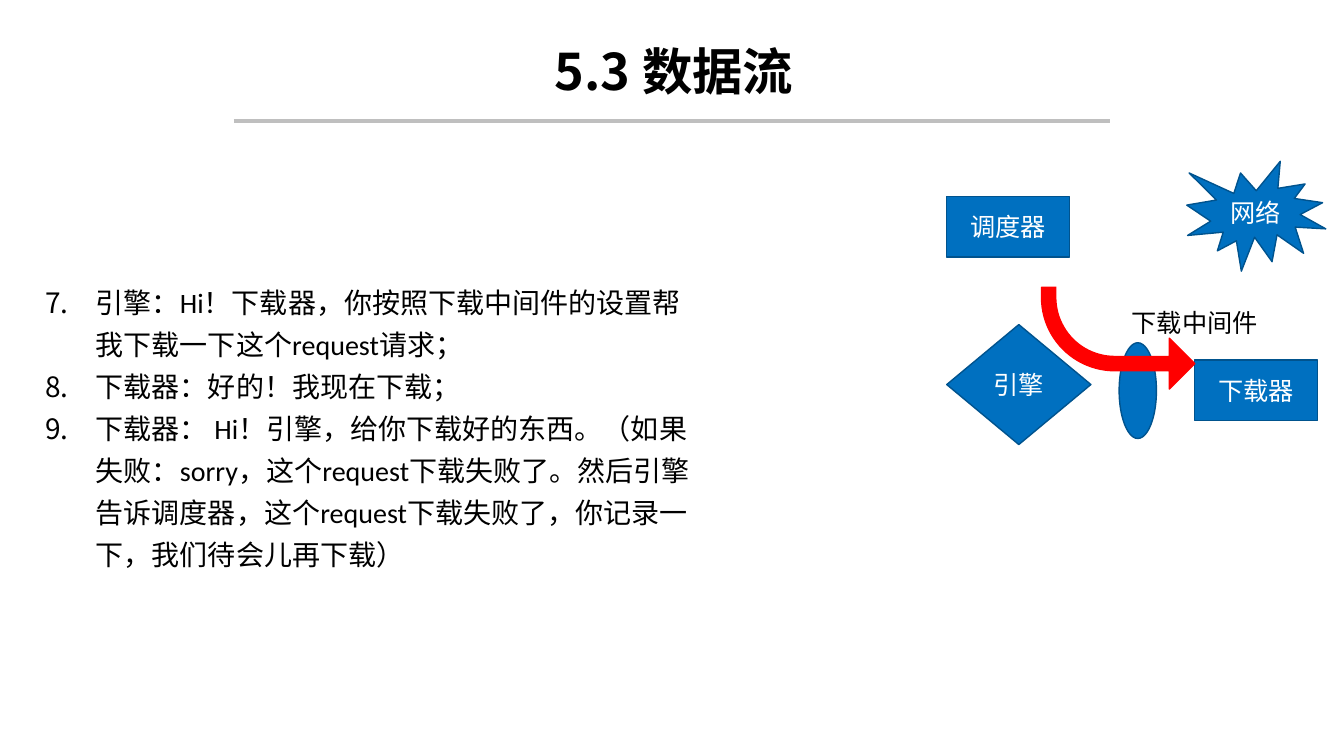
from lxml.etree import SubElement
from pptx import Presentation
from pptx.dml.color import RGBColor
from pptx.enum.shapes import MSO_CONNECTOR, MSO_SHAPE
from pptx.enum.text import MSO_ANCHOR, MSO_AUTO_SIZE, PP_ALIGN
from pptx.oxml.ns import qn
from pptx.util import Inches, Pt

BLUE = RGBColor(0x00, 0x70, 0xC0)
DARK_BLUE = RGBColor(0x00, 0x53, 0x8E)
RED = RGBColor(0xFF, 0x00, 0x00)
GREY = RGBColor(0xBF, 0xBF, 0xBF)
BLACK = RGBColor(0x00, 0x00, 0x00)
WHITE = RGBColor(0xFF, 0xFF, 0xFF)
LATIN_FONT = "Calibri"
CHINESE_FONT = "Noto Sans CJK SC"

STEPS = [
    "引擎：Hi！下载器，你按照下载中间件的设置帮我下载一下这个request请求；",
    "下载器：好的！我现在下载；",
    "下载器： Hi！引擎，给你下载好的东西。（如果失败：sorry，这个request下载失败了。"
    "然后引擎告诉调度器，这个request下载失败了，你记录一下，我们待会儿再下载）",
]
BOX_SIZE = (1.22, 0.6)
NODES = [
    (MSO_SHAPE.RECTANGLE, (9.39, 1.95, *BOX_SIZE), "调度器"),
    (MSO_SHAPE.FLOWCHART_DECISION, (9.39, 3.22, 1.43, 1.19), "引擎"),
    (MSO_SHAPE.RECTANGLE, (11.85, 3.57, *BOX_SIZE), "下载器"),
]


class SlideBuilder:
    def __init__(self, slide):
        self.slide = slide

    def place(self, shape, frame):
        for name, value in zip(("left", "top", "width", "height"), frame):
            setattr(shape, name, Inches(value))

    def add_span(self, para, text, size, color, **formats):
        span = para.add_run()
        span.text = text
        span.font.color.rgb = color
        for name, value in {"name": LATIN_FONT, "size": Pt(size), **formats}.items():
            setattr(span.font, name, value)
        east_asian = SubElement(span.font._element, qn("a:ea"))
        east_asian.set("typeface", CHINESE_FONT)

    def title(self, text, frame):
        box = self.slide.shapes.title
        self.place(box, frame)
        box.text_frame.vertical_anchor = MSO_ANCHOR.MIDDLE
        para = box.text_frame.paragraphs[0]
        para.alignment = PP_ALIGN.CENTER
        para.line_spacing = 0.9
        self.add_span(para, text, 36, BLACK, name=CHINESE_FONT, bold=True)

    def numbered_list(self, items, frame, start):
        box = self.slide.placeholders[1]
        self.place(box, frame)
        box.text_frame.auto_size = MSO_AUTO_SIZE.NONE
        for index, item in enumerate(items):
            para = box.text_frame.add_paragraph() if index else box.text_frame.paragraphs[0]
            properties = para._p.get_or_add_pPr()
            properties.set("marL", str(Inches(0.5)))
            properties.set("indent", str(-Inches(0.5)))
            SubElement(properties, qn("a:buFont")).set("typeface", CHINESE_FONT)
            number = SubElement(properties, qn("a:buAutoNum"))
            number.set("type", "arabicPeriod")
            number.set("startAt", str(start))
            for name, value in {"line_spacing": 1.25, "space_before": Pt(0),
                                "alignment": PP_ALIGN.LEFT}.items():
                setattr(para, name, value)
            self.add_span(para, item, 20, BLACK)

    def shape(self, kind, frame, text="", fill=BLUE, line=DARK_BLUE):
        shape = self.slide.shapes.add_shape(kind, *map(Inches, frame))
        shape.shadow.inherit = False
        shape.fill.solid()
        shape.fill.fore_color.rgb = fill
        shape.line.color.rgb = line
        shape.line.width = Pt(1)
        if text:
            shape.text_frame.vertical_anchor = MSO_ANCHOR.MIDDLE
            para = shape.text_frame.paragraphs[0]
            para.alignment = PP_ALIGN.CENTER
            self.add_span(para, text, 18, WHITE)
        return shape

    def label(self, text, frame):
        box = self.slide.shapes.add_textbox(*map(Inches, frame))
        box.text_frame.word_wrap = False
        para = box.text_frame.paragraphs[0]
        para.alignment = PP_ALIGN.CENTER
        self.add_span(para, text, 18, BLACK)

    def rule(self, left, right, top):
        line = self.slide.shapes.add_connector(
            MSO_CONNECTOR.STRAIGHT, Inches(left), Inches(top), Inches(right), Inches(top))
        line.line.color.rgb = GREY
        line.line.width = Pt(2.25)
        SubElement(line._element.spPr, qn("a:effectLst"))

    def bent_arrow(self, frame, adjustments):
        arrow = self.shape(MSO_SHAPE.BENT_ARROW, frame, fill=RED, line=RED)
        for index, value in enumerate(adjustments):
            arrow.adjustments[index] = value
        arrow._element.spPr.xfrm.set("flipV", "1")


def main():
    deck = Presentation()
    deck.slide_width, deck.slide_height = Inches(13.33), Inches(7.5)
    page = SlideBuilder(deck.slides.add_slide(deck.slide_layouts[1]))
    page.rule(2.32, 11.01, 1.2)
    page.title("5.3 数据流", (2.24, 0.4, 8.89, 0.68))
    page.numbered_list(STEPS, (0.35, 2.7, 6.67, 3.01), start=7)
    for kind, frame, text in NODES:
        page.shape(kind, frame, text)
    middleware = page.shape(MSO_SHAPE.FLOWCHART_CONNECTOR, (10.81, 3.69, 0.95, 0.37))
    middleware.rotation = 270
    page.label("下载中间件", (11.12, 3, 1.46, 0.4))
    page.bent_arrow((10.33, 2.85, 1.52, 1.01), (0.14, 0.25, 0.25, 0.72))
    page.shape(MSO_SHAPE.EXPLOSION1, (11.77, 1.6, 1.38, 1.09), "网络")
    deck.save("out.pptx")


if __name__ == "__main__":
    main()
